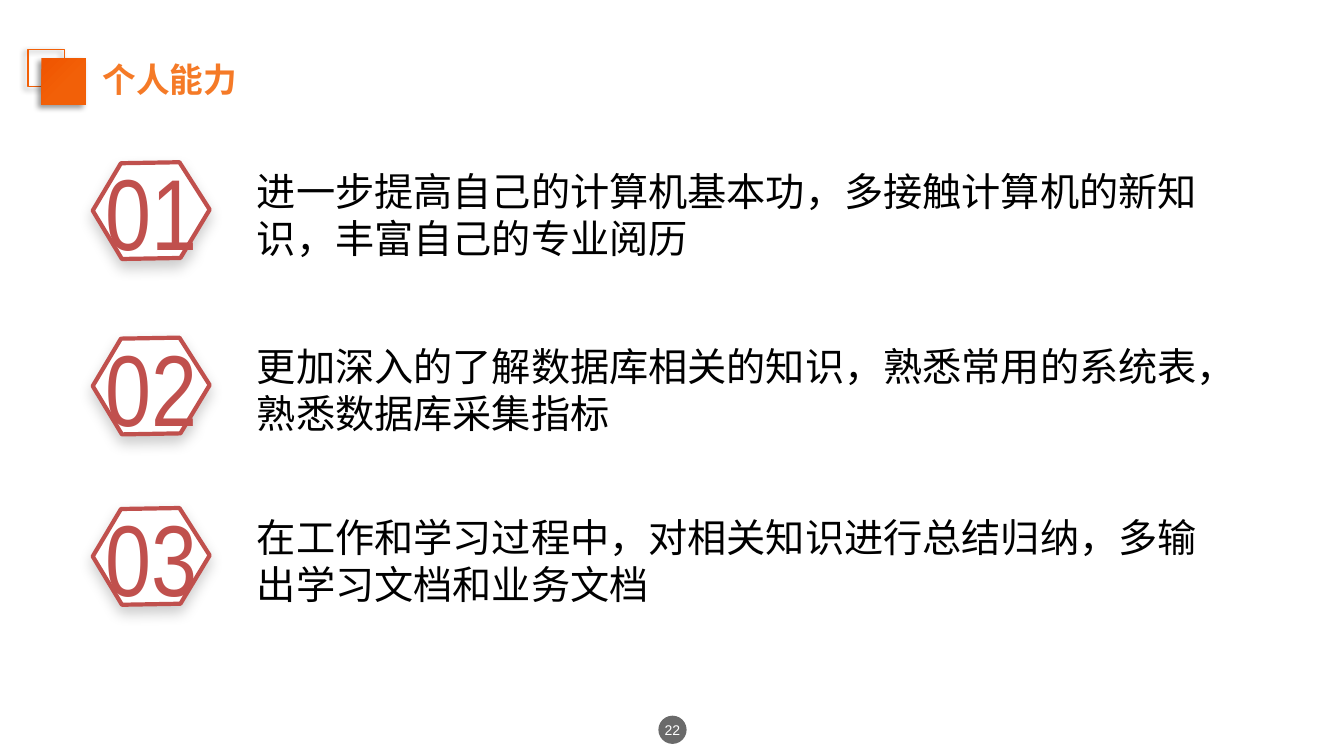
from lxml.etree import SubElement
from pptx import Presentation
from pptx.dml.color import RGBColor
from pptx.enum.shapes import MSO_SHAPE
from pptx.enum.text import MSO_ANCHOR, MSO_AUTO_SIZE, PP_ALIGN
from pptx.oxml.ns import qn
from pptx.util import Pt

PX = 9144
WHITE = RGBColor(0xFF, 0xFF, 0xFF)
BLACK = RGBColor(0x00, 0x00, 0x00)
GREY = RGBColor(0x6A, 0x6A, 0x6A)
RED = RGBColor(0xC0, 0x50, 0x4D)
ORANGE = RGBColor(0xF2, 0x60, 0x08)
DEEP_ORANGE = RGBColor(0xF0, 0x55, 0x00)
TITLE_ORANGE = RGBColor(0xF5, 0x7A, 0x27)
CJK_FONT = "Noto Sans CJK SC"
HEXAGON = [(0, 48), (28, 1), (86, 0), (116, 47), (87, 95), (29, 96)]
SQUARE_SHADOW = (40, 4, 3, 135)
HEXAGON_SHADOW = (20, 10, 5, 90)
ABILITIES = [
    (161, "01", ["进一步提高自己的计算机基本功，多接触计算机的新知识，丰富自己的专业阅历"]),
    (335, "02", ["更加深入的了解数据库相关的知识，熟悉常用的系统表，", "熟悉数据库采集指标"]),
    (504, "03", ["在工作和学习过程中，对相关知识进行总结归纳，多输出学习文档和业务文档"]),
]


class SlideBuilder:
    """Draws styled elements on one slide, with lengths in px."""

    def __init__(self, slide):
        self.shapes = slide.shapes

    def paint(self, shape, fill=None, line=None, width=1, shadow=None):
        if fill is None:
            shape.fill.background()
        elif isinstance(fill, list):
            shape.fill.gradient()
            shape.fill.gradient_angle = 315
            for stop, (position, color) in zip(shape.fill.gradient_stops, fill):
                stop.position = position
                stop.color.rgb = color
        else:
            shape.fill.solid()
            shape.fill.fore_color.rgb = fill
        if line is None:
            shape.line.fill.background()
        else:
            shape.line.color.rgb = line
            shape.line.width = Pt(width)
        shape.shadow.inherit = False
        if shadow:
            self.cast_shadow(shape, *shadow)

    def cast_shadow(self, shape, opacity, blur, distance, angle):
        effects = shape._element.spPr.find(qn("a:effectLst"))
        outer = SubElement(effects, qn("a:outerShdw"), blurRad=str(Pt(blur)),
                           dist=str(Pt(distance)), dir=str(angle * 60000), rotWithShape="0")
        color = SubElement(outer, qn("a:srgbClr"), val="000000")
        SubElement(color, qn("a:alpha"), val=str(opacity * 1000))

    def set_text(self, shape, lines, font, size, color, bold=False, align=PP_ALIGN.LEFT):
        frame = shape.text_frame
        frame.word_wrap = True
        frame.text = "\n".join(lines)
        for paragraph in frame.paragraphs:
            paragraph.alignment = align
            paragraph.font.name = font
            paragraph.font.size = Pt(size)
            paragraph.font.bold = bold
            paragraph.font.color.rgb = color
            defaults = paragraph._p.pPr.find(qn("a:defRPr"))
            SubElement(defaults, qn("a:ea"), typeface=CJK_FONT)

    def text(self, left, top, width, height, lines, font, size, color, bold=False):
        box = self.shapes.add_textbox(left * PX, top * PX, width * PX, height * PX)
        self.set_text(box, lines, font, size, color, bold)
        box.text_frame.auto_size = MSO_AUTO_SIZE.SHAPE_TO_FIT_TEXT

    def square(self, left, top, width, height, **style):
        square = self.shapes.add_shape(MSO_SHAPE.RECTANGLE, left * PX, top * PX,
                                       width * PX, height * PX)
        self.paint(square, shadow=SQUARE_SHADOW, **style)

    def hexagon(self, left, top, number):
        start, *corners = [(left + x, top + y) for x, y in HEXAGON]
        outline = self.shapes.build_freeform(*start, scale=PX)
        outline.add_line_segments(corners, close=True)
        badge = outline.convert_to_shape()
        self.paint(badge, WHITE, RED, 3, HEXAGON_SHADOW)
        self.set_text(badge, [number], "Arial Narrow", 72, RED, align=PP_ALIGN.CENTER)
        badge.text_frame.vertical_anchor = MSO_ANCHOR.MIDDLE

    def page_number(self, left, top, size, number):
        circle = self.shapes.add_shape(MSO_SHAPE.OVAL, left * PX, top * PX, size * PX, size * PX)
        self.paint(circle, GREY)
        self.set_text(circle, [number], "Arial", 10, WHITE, align=PP_ALIGN.CENTER)
        frame = circle.text_frame
        frame.margin_left = frame.margin_right = frame.margin_top = frame.margin_bottom = 0
        frame.vertical_anchor = MSO_ANCHOR.MIDDLE


def main():
    presentation = Presentation()
    presentation.slide_width = 1333 * PX
    presentation.slide_height = 750 * PX
    builder = SlideBuilder(presentation.slides.add_slide(presentation.slide_layouts[6]))

    builder.page_number(653, 710, 28, "22")
    builder.square(28, 49, 36, 37, line=ORANGE)
    builder.square(41, 58, 44, 46, fill=[(0.03, DEEP_ORANGE), (0.59, ORANGE)])
    builder.text(92, 54, 719, 50, ["个人能力"], CJK_FONT, 24, TITLE_ORANGE, bold=True)
    for top, number, lines in ABILITIES:
        builder.hexagon(92, top, number)
        builder.text(245, top, 961, 104, lines, "Calibri", 28, BLACK)

    presentation.save("out.pptx")


if __name__ == "__main__":
    main()
